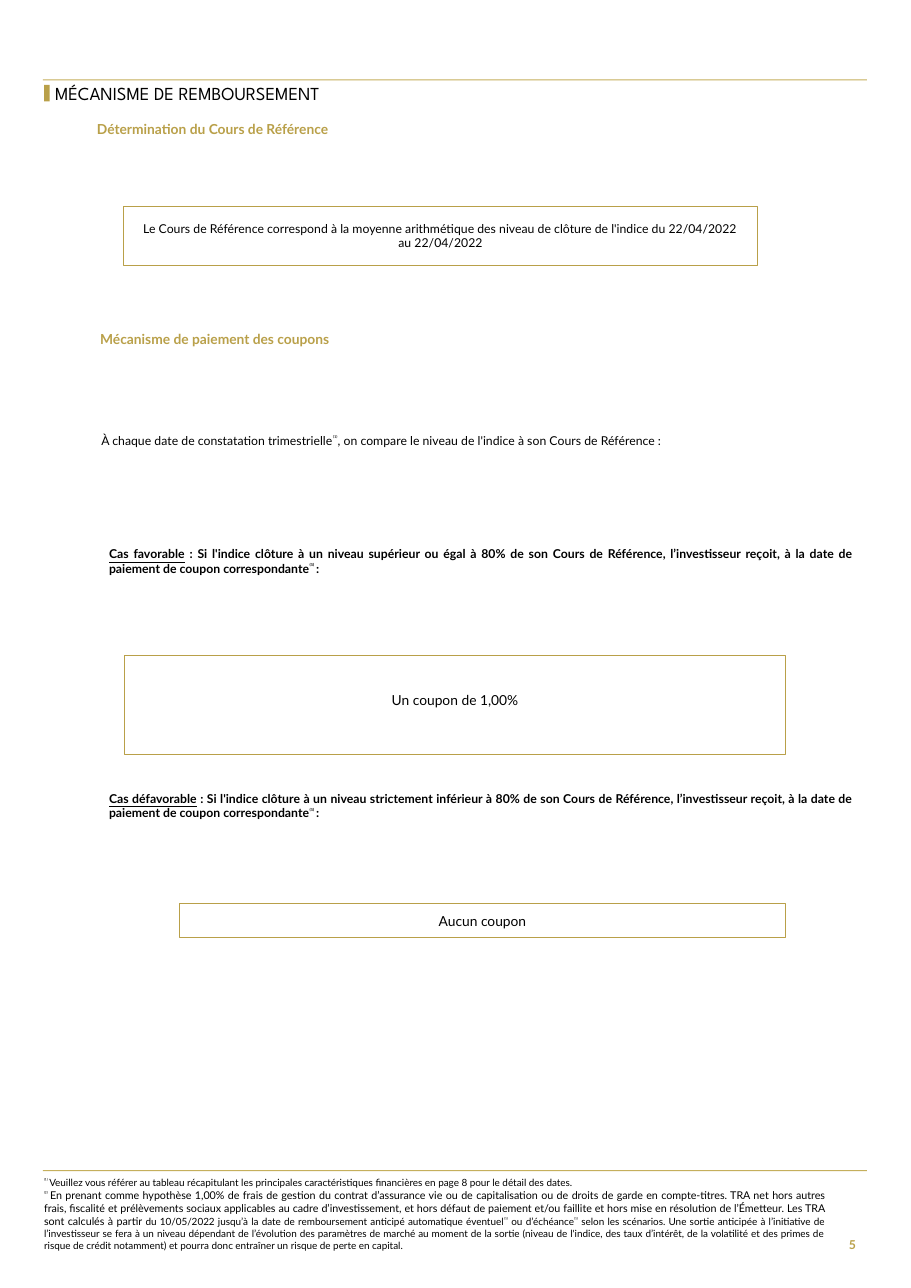
from pptx import Presentation
from pptx import util as u
from pptx.dml.color import RGBColor
from pptx.enum import shapes, text

PX = 9144  # EMU; 100 px to the inch
GOLD, RULE, BLACK, WHITE = "B9A049", "C5AF5C", "000000", "FFFFFF"
LEFT, CENTER = text.PP_ALIGN.LEFT, text.PP_ALIGN.CENTER
RIGHT, JUSTIFY = text.PP_ALIGN.RIGHT, text.PP_ALIGN.JUSTIFY
TOP, MIDDLE = text.MSO_ANCHOR.TOP, text.MSO_ANCHOR.MIDDLE

RAISED = {"raised": True}
DATES_NOTE = ("⁽¹⁾", RAISED)


def px(*lengths):
    return [u.Emu(length * PX) for length in lengths]


def color(hex_string):
    return RGBColor.from_string(hex_string)


def set_attributes(target, values):
    for name, value in values.items():
        setattr(target, name, value)


def set_font(font, size, name="Lato", hex_string=BLACK, **values):
    set_attributes(font, {"size": u.Pt(size), "name": name, **values})
    font.color.rgb = color(hex_string)


def write(shape, paragraphs, size, align=LEFT, anchor=TOP, insets=(0, 0, 0, 0),
          spacing=1.0, **base):
    """Fill a shape with paragraphs, each a list of strings or (string, format) pairs."""
    frame = shape.text_frame
    margins = zip(("left", "top", "right", "bottom"), px(*insets))
    set_attributes(frame, {"word_wrap": True, "auto_size": text.MSO_AUTO_SIZE.NONE,
                           "vertical_anchor": anchor,
                           **{f"margin_{side}": inset for side, inset in margins}})
    for index, runs in enumerate(paragraphs):
        paragraph = frame.add_paragraph() if index else frame.paragraphs[0]
        set_attributes(paragraph, {"alignment": align, "line_spacing": spacing,
                                   "space_before": u.Pt(0)})
        for item in runs:
            words, extra = (item, {}) if isinstance(item, str) else item
            values = {"size": size, **base, **extra}
            raised = values.pop("raised", False)
            run = paragraph.add_run()
            run.text = words
            set_font(run.font, **values)
            if raised:
                run.font._element.set("baseline", "30000")


def add_text(slide, box, paragraphs, size, **values):
    write(slide.shapes.add_textbox(*px(*box)), paragraphs, size, **values)


def add_bar(slide, box, fill):
    shape = slide.shapes.add_shape(shapes.MSO_SHAPE.RECTANGLE, *px(*box))
    shape.shadow.inherit = False
    shape.fill.solid()
    shape.fill.fore_color.rgb = color(fill)
    shape.line.fill.background()
    return shape


def add_framed_text(slide, box, words, size, line_width, insets, spacing=1.0):
    shape = add_bar(slide, box, WHITE)
    shape.line.color.rgb = color(GOLD)
    shape.line.width = u.Pt(line_width)
    write(shape, [[words]], size, align=CENTER, anchor=MIDDLE, insets=insets,
          spacing=spacing)


def add_title(slide, box, words):
    title = slide.shapes.title
    set_attributes(title, dict(zip(("left", "top", "width", "height"), px(*box))))
    write(title, [[words]], 12, anchor=MIDDLE, spacing=0.9, name="League Spartan")


def add_subheading(slide, box, words):
    add_text(slide, box, [[words]], 9, hex_string=GOLD, bold=True)


def add_case(slide, top, name, condition):
    add_text(slide, (99, top, 676, 27), [[
        (name, {"underline": True}),
        f" : Si l'indice clôture à un niveau {condition} à 80% de son Cours de Référence, "
        "l’investisseur reçoit, à la date de paiement de coupon correspondante",
        ("⁽¹⁾ ", RAISED), ":"]], 8, align=JUSTIFY, bold=True)


def add_footnotes(slide):
    add_text(slide, (40, 1068, 709, 68), [
        [("⁽¹⁾ ", RAISED),
         "Veuillez vous référer au tableau récapitulant les principales caractéristiques "
         "financières en page 8 pour le détail des dates."],
        [("⁽²⁾ ", RAISED),
         ("En prenant comme hypothèse 1,00% de frais de gestion du contrat d’assurance vie ou "
          "de capitalisation ou de droits de garde en compte-titres. TRA net hors autres frais, "
          "fiscalité et prélèvements sociaux applicables au cadre d’investissement, et hors "
          "défaut de paiement et/ou faillite et hors mise en résolution de l’Émetteur. Les TRA "
          "sont calculés à partir ", {"size": 7}),
         "du 10/05/2022 jusqu’à la date de remboursement anticipé automatique éventuel",
         DATES_NOTE, " ou d’échéance", DATES_NOTE,
         " selon les scénarios. Une sortie anticipée à l’initiative de l’investisseur se fera à "
         "un niveau dépendant de l’évolution des paramètres de marché au moment de la sortie "
         "(niveau de l'indice, des taux d’intérêt, de la volatilité et des primes de risque de "
         "crédit notamment) et pourra donc entraîner un risque de perte en capital."],
    ], 6.5, align=JUSTIFY)


def main():
    presentation = Presentation()
    presentation.slide_width, presentation.slide_height = px(827, 1169)
    slide = presentation.slides.add_slide(presentation.slide_layouts[5])

    for top in (72, 1062):
        add_bar(slide, (39, top, 748, 1), RULE)
    add_bar(slide, (40, 77, 5, 15), GOLD)
    add_title(slide, (50, 73, 421, 25), "MÉCANISME DE REMBOURSEMENT")

    add_subheading(slide, (88, 110, 297, 18), "Détermination du Cours de Référence")
    add_framed_text(slide, (112, 187, 576, 54),
                    "Le Cours de Référence correspond à la moyenne arithmétique des niveau de "
                    "clôture de l'indice du 22/04/2022 au 22/04/2022",
                    8, 0.5, (12, 10, 12, 10))

    add_subheading(slide, (91, 300, 657, 17), "Mécanisme de paiement des coupons")
    add_text(slide, (92, 393, 657, 13), [[
        "À chaque date de constatation trimestrielle", DATES_NOTE,
        ", on compare le niveau de l'indice à son Cours de Référence :"]], 8, align=JUSTIFY)

    add_case(slide, 496, "Cas favorable", "supérieur ou égal")
    add_framed_text(slide, (113, 595, 600, 90), "Un coupon de 1,00%",
                    9, 0.75, (12, 15, 12, 23), spacing=0.9)
    add_case(slide, 718, "Cas défavorable", "strictement inférieur")
    add_framed_text(slide, (163, 820, 550, 31), "Aucun coupon", 9, 0.75, (12, 8, 12, 8))

    add_footnotes(slide)
    add_text(slide, (748, 1109, 39, 42), [["5"]], 8, align=RIGHT, anchor=MIDDLE,
             insets=(10, 5, 10, 5), hex_string=GOLD, bold=True)
    presentation.save("out.pptx")


if __name__ == "__main__":
    main()
